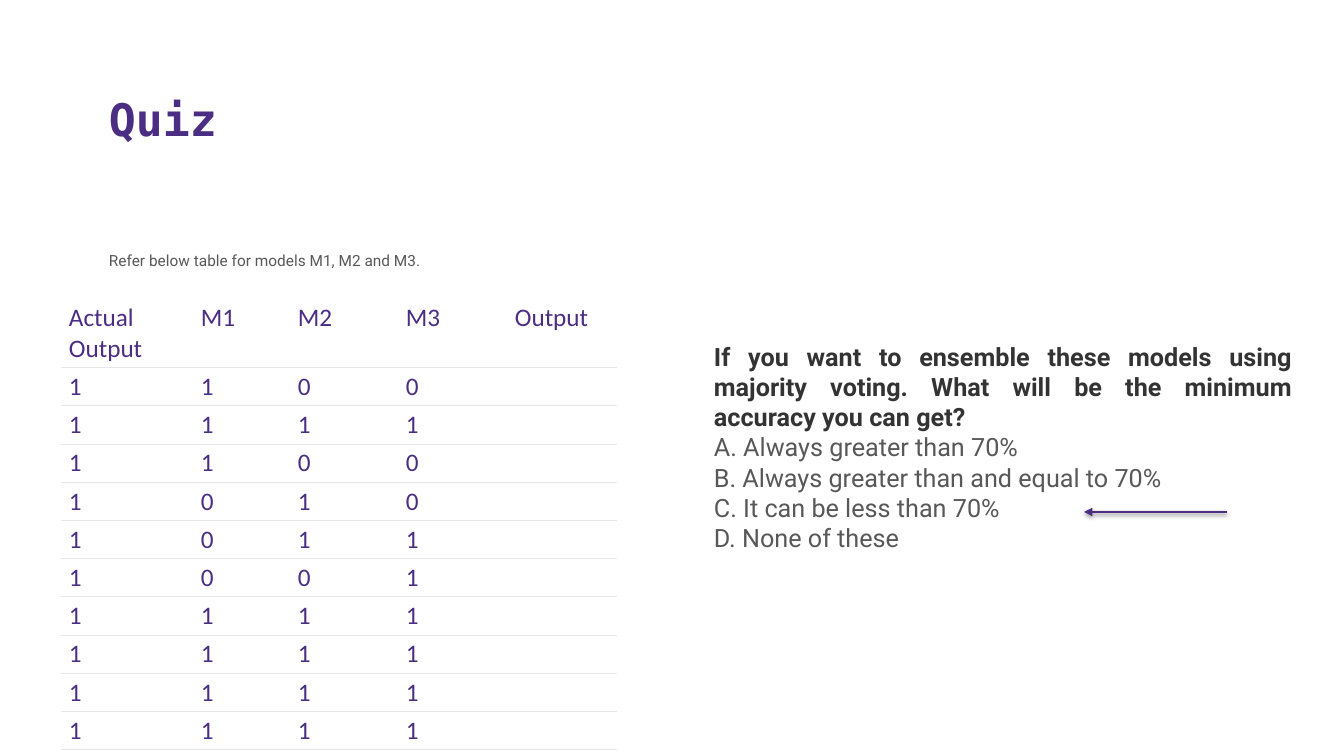
from lxml import etree
from pptx import Presentation, util as u
from pptx.dml.color import RGBColor
from pptx.enum import shapes, text
from pptx.oxml.ns import qn

PURPLE = RGBColor(0x4B, 0x2E, 0x83)
GREY = RGBColor(0x59, 0x58, 0x58)
DARK = RGBColor(0x33, 0x33, 0x33)
RULE = RGBColor(0xE7, 0xE7, 0xE7)
WHITE = RGBColor(0xFF, 0xFF, 0xFF)
BLACK = RGBColor(0, 0, 0)

HEADINGS = ["Actual Output", "M1", "M2", "M3", "Output"]
PREDICTIONS = ["100", "111", "100", "010", "011", "001"] + ["111"] * 4
COLUMNS = [132, 97, 108, 109, 110]
QUESTION = ("If you want to ensemble these models using majority voting. "
            "What will be the minimum accuracy you can get?")
ANSWERS = ["A. Always greater than 70%", "B. Always greater than and equal to 70%",
           "C. It can be less than 70%", "D. None of these"]


def px(length):
    return u.Emu(round(length * 914400 / 100.8))


def add_color(parent, color, alpha=None):
    tint = etree.SubElement(parent, qn("a:srgbClr"), val=str(color))
    if alpha is not None:
        etree.SubElement(tint, qn("a:alpha"), val=str(alpha))


class QuizSlide:
    """Draws styled elements on one slide, with lengths in px."""

    def __init__(self, deck):
        self.slide = deck.slides.add_slide(deck.slide_layouts[6])
        self.body_font = "Roboto"
        self.title_font = "DejaVu Sans Mono"
        self.table_font = "Calibri"

    def style(self, paragraph, font, size, color, bold=False):
        paragraph.font.name = font
        paragraph.font.size = u.Pt(size)
        paragraph.font.color.rgb = color
        paragraph.font.bold = bold

    def box(self, left, top, width, height, anchor):
        frame = self.slide.shapes.add_textbox(*map(px, (left, top, width, height))).text_frame
        frame.word_wrap = True
        frame.vertical_anchor = anchor
        return frame

    def label(self, content, bounds, anchor, font, size, color, bold=False):
        frame = self.box(*bounds, anchor)
        frame.text = content
        self.style(frame.paragraphs[0], font, size, color, bold)

    def question(self, prompt, answers, bounds):
        frame = self.box(*bounds, text.MSO_ANCHOR.TOP)
        frame.text = prompt
        asked = frame.paragraphs[0]
        asked.alignment = text.PP_ALIGN.JUSTIFY
        self.style(asked, self.body_font, 18, DARK, True)
        choices = frame.add_paragraph()
        choices.text = "\v".join(answers)
        self.style(choices, self.body_font, 18, GREY)

    def arrow(self, start, end, y):
        pointer = self.slide.shapes.add_connector(
            shapes.MSO_CONNECTOR.STRAIGHT, px(start), px(y), px(end), px(y))
        pointer.line.color.rgb = PURPLE
        pointer.line.width = u.Pt(2)
        etree.SubElement(pointer.line._get_or_add_ln(), qn("a:tailEnd"), type="triangle")
        effects = etree.SubElement(pointer._element.spPr, qn("a:effectLst"))
        shadow = etree.SubElement(effects, qn("a:outerShdw"), blurRad="40000",
                                  dist="20000", dir="5400000", rotWithShape="0")
        add_color(shadow, BLACK, 38000)

    def border(self, cell, sides):
        properties = cell._tc.get_or_add_tcPr()
        for side in "LRTB":
            edge = etree.SubElement(properties, qn(f"a:ln{side}"), w=str(u.Pt(0.6)))
            if side in sides:
                add_color(etree.SubElement(edge, qn("a:solidFill")), RULE)
            else:
                etree.SubElement(edge, qn("a:noFill"))

    def table(self, rows, columns, left, top, height):
        grid = self.slide.shapes.add_table(
            len(rows), len(columns), px(left), px(top), px(sum(columns)), px(height)).table
        grid.first_row = grid.horz_banding = False
        for column, width in zip(grid.columns, columns):
            column.width = px(width)
        for r, row in enumerate(rows):
            for c, value in enumerate(row):
                cell = grid.cell(r, c)
                self.border(cell, "TB" if r else "B")
                cell.fill.solid()
                cell.fill.fore_color.rgb = WHITE
                cell.margin_left = cell.margin_right = px(8)
                cell.margin_top = cell.margin_bottom = px(4)
                cell.text = value
                self.style(cell.text_frame.paragraphs[0], self.table_font, 18, PURPLE)


def main():
    deck = Presentation()
    deck.slide_width, deck.slide_height = px(1344), px(756)
    quiz = QuizSlide(deck)
    quiz.label("Quiz", (99, 41, 1203, 109), text.MSO_ANCHOR.BOTTOM,
               quiz.title_font, 32, PURPLE, True)
    quiz.label("Refer below table for models M1, M2 and M3.", (99, 246, 338, 29),
               text.MSO_ANCHOR.MIDDLE, quiz.body_font, 11, GREY)
    quiz.question(QUESTION, ANSWERS, (704, 336, 598, 224))
    quiz.arrow(1227, 1084, 512)
    rows = [HEADINGS] + [["1", *votes, ""] for votes in PREDICTIONS]
    quiz.table(rows, COLUMNS, 61, 299, 342)
    deck.save("out.pptx")


if __name__ == "__main__":
    main()
